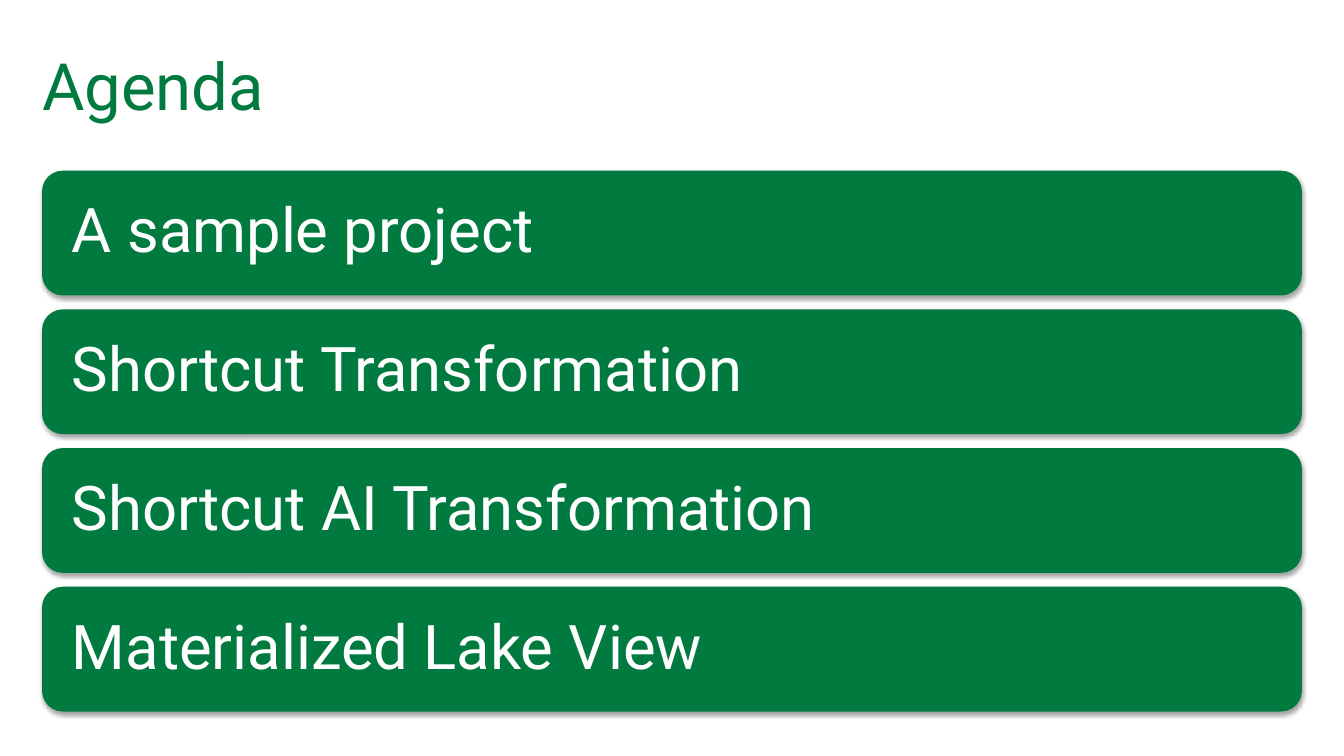
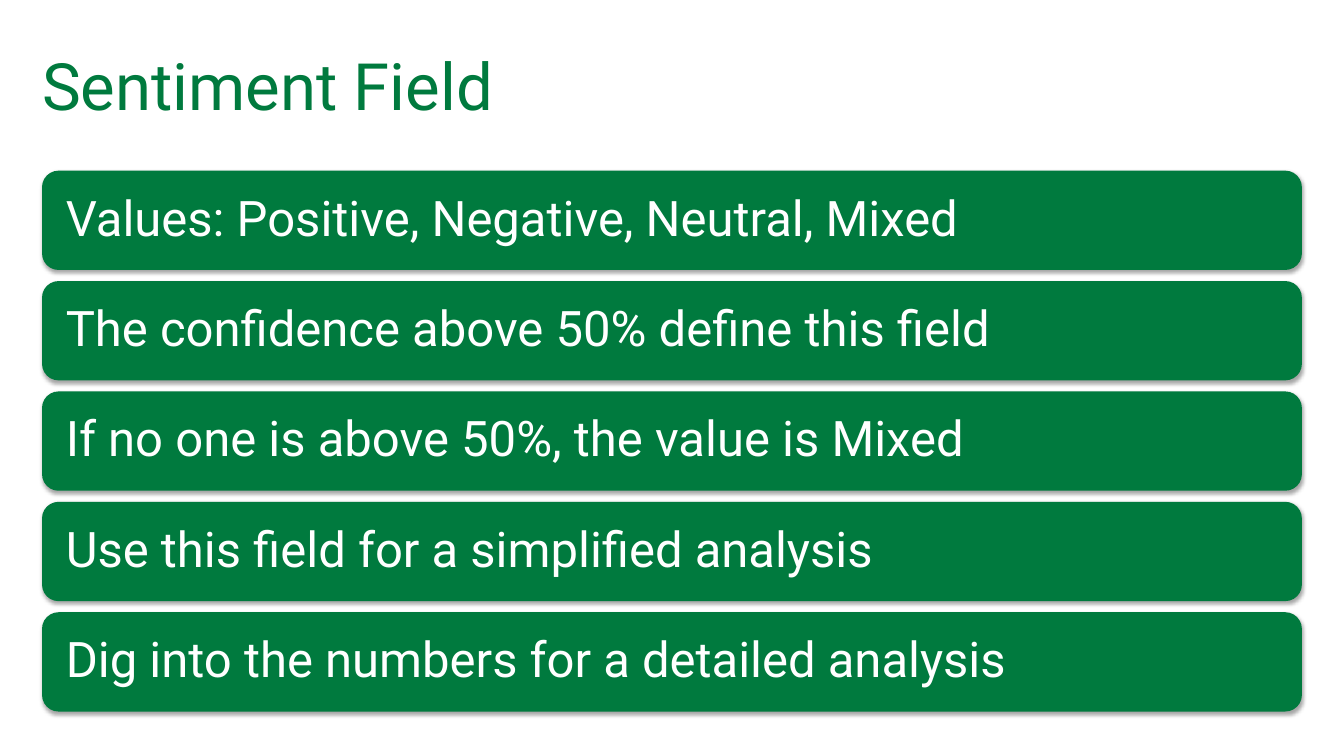
from dataclasses import dataclass

import lxml.etree
import pptx
import pptx.dml.color
import pptx.enum.shapes
import pptx.enum.text
import pptx.oxml.ns
import pptx.util

Cm = pptx.util.Cm
Pt = pptx.util.Pt
qn = pptx.oxml.ns.qn


@dataclass(frozen=True)
class Theme:
    green: pptx.dml.color.RGBColor = pptx.dml.color.RGBColor(0x00, 0x7A, 0x3E)
    white: pptx.dml.color.RGBColor = pptx.dml.color.RGBColor(0xFF, 0xFF, 0xFF)
    shadow: str = "000000"
    font: str = "Roboto"
    title_size: float = 46.6
    agenda_size: float = 44
    detail_size: float = 35


@dataclass(frozen=True)
class Box:
    left: int
    top: int
    width: int
    height: int


THEME = Theme()
TITLE_BOX = Box(Cm(1.06), Cm(1.06), Cm(31.75), Cm(2.12))
STACK_BOX = Box(Cm(1.06), Cm(4.3), Cm(31.75), Cm(13.63))
GAP_RATIO = 1 / 9
INSET_RATIO = 0.19

SLIDES = [
    (
        "Agenda",
        THEME.agenda_size,
        [
            "A sample project",
            "Shortcut Transformation",
            "Shortcut AI Transformation",
            "Materialized Lake View",
        ],
    ),
    (
        "Sentiment Field",
        THEME.detail_size,
        [
            "Values: Positive, Negative, Neutral, Mixed",
            "The confidence above 50% define this field",
            "If no one is above 50%, the value is Mixed",
            "Use this field for a simplified analysis",
            "Dig into the numbers for a detailed analysis",
        ],
    ),
]


def write_text(shape, text, size, color, inset):
    frame = shape.text_frame
    frame.text = text
    frame.word_wrap = True
    frame.auto_size = pptx.enum.text.MSO_AUTO_SIZE.NONE
    frame.vertical_anchor = pptx.enum.text.MSO_ANCHOR.MIDDLE
    frame.margin_left = frame.margin_right = inset
    frame.margin_top = frame.margin_bottom = inset
    para = frame.paragraphs[0]
    para.alignment = pptx.enum.text.PP_ALIGN.LEFT
    para.font.name = THEME.font
    para.font.size = Pt(size)
    para.font.color.rgb = color
    return para


def add_soft_shadow(shape):
    shape.shadow.inherit = False
    effects = shape.element.spPr.find(qn("a:effectLst"))
    shadow = lxml.etree.SubElement(
        effects,
        qn("a:outerShdw"),
        blurRad=str(Pt(3.1)),
        dist=str(Pt(1.8)),
        dir="5400000",
        algn="ctr",
        rotWithShape="0",
    )
    color = lxml.etree.SubElement(shadow, qn("a:srgbClr"), val=THEME.shadow)
    lxml.etree.SubElement(color, qn("a:alpha"), val="35000")


def place_title(page, box, text):
    title = page.shapes.title
    title.left, title.top = box.left, box.top
    title.width, title.height = box.width, box.height
    write_text(title, text, THEME.title_size, THEME.green, 0)


def add_bar(page, box, text, size):
    bar = page.shapes.add_shape(
        pptx.enum.shapes.MSO_SHAPE.ROUNDED_RECTANGLE,
        box.left, box.top, box.width, box.height,
    )
    bar.fill.solid()
    bar.fill.fore_color.rgb = THEME.green
    bar.line.fill.background()
    add_soft_shadow(bar)
    inset = round(box.height * INSET_RATIO)
    para = write_text(bar, text, size, THEME.white, inset)
    para.line_spacing = 0.9


def add_bar_stack(page, box, items, size):
    count = len(items)
    height = box.height / (count + (count - 1) * GAP_RATIO)
    pitch = height * (1 + GAP_RATIO)
    for index, text in enumerate(items):
        top = round(box.top + index * pitch)
        add_bar(page, Box(box.left, top, box.width, round(height)), text, size)


def add_list_slide(deck, title, size, items):
    page = deck.slides.add_slide(deck.slide_layouts.get_by_name("Title Only"))
    place_title(page, TITLE_BOX, title)
    add_bar_stack(page, STACK_BOX, items, size)


def main():
    deck = pptx.Presentation()
    deck.slide_width, deck.slide_height = Cm(33.87), Cm(19.05)
    for title, size, items in SLIDES:
        add_list_slide(deck, title, size, items)
    deck.save("out.pptx")


if __name__ == "__main__":
    main()
